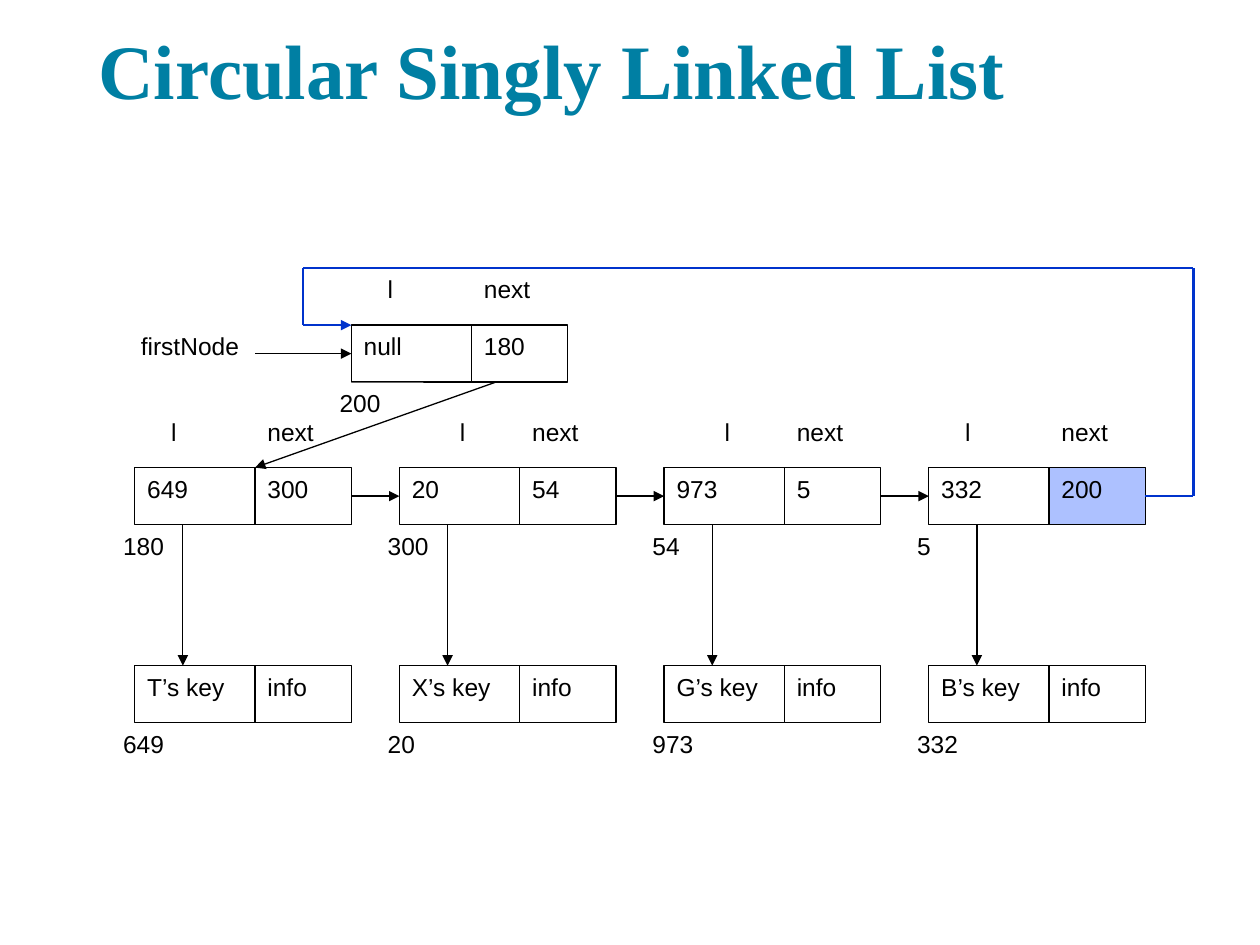
from pptx import Presentation
from pptx.dml.color import RGBColor
from pptx.enum.shapes import MSO_CONNECTOR, MSO_SHAPE
from pptx.enum.text import MSO_ANCHOR, PP_ALIGN
from pptx.oxml.ns import qn
from pptx.util import Pt
from lxml import etree

RECT = MSO_SHAPE.RECTANGLE
STRAIGHT = MSO_CONNECTOR.STRAIGHT
LEFT = PP_ALIGN.LEFT
TOP, BOTTOM = MSO_ANCHOR.TOP, MSO_ANCHOR.BOTTOM

COLORS = {"title": "007FA3", "ink": "000000", "paper": "FFFFFF",
          "last": "3366FF", "loop": "0033CC"}

U = 13.75  # horizontal grid unit
LEFT_EDGE = 77
KEY_W, NEXT_W, CELL_H = 5 * U, 4 * U, 32.6
PITCH = 11 * U
HEAD_Y, NODE_Y, DATA_Y = 185.8, 267.2, 380.4
HEAD_X = LEFT_EDGE + 9 * U

# link value, next value, address, element, offset of the "l" caption
NODES = [("649", "300", "180", "T’s key", U),
         ("20", "54", "300", "X’s key", 2 * U),
         ("973", "5", "54", "G’s key", 2 * U),
         ("332", "200", "5", "B’s key", U)]


def rgb(name):
    return RGBColor.from_string(COLORS[name])


def set_text(shape, text, size=14, font="Arial", color="ink", bold=False, anchor=TOP):
    tf = shape.text_frame
    tf.text = text
    tf.word_wrap = True
    tf.vertical_anchor = anchor
    p = tf.paragraphs[0]
    p.alignment = LEFT
    f = p.runs[0].font
    f.name, f.size, f.bold = font, Pt(size), bold
    f.color.rgb = rgb(color)


def add_title(s, text):
    title = s.shapes.title
    title.left, title.top, title.width, title.height = Pt(49), Pt(4.3), Pt(648), Pt(68.4)
    set_text(title, text, 44, "Times New Roman", "title", True, BOTTOM)
    tf = title.text_frame
    tf.margin_left = tf.margin_right = tf.margin_top = tf.margin_bottom = Pt(7.2)


def add_label(s, text, x, y, w=NEXT_W, h=CELL_H):
    set_text(s.shapes.add_textbox(Pt(x), Pt(y), Pt(w), Pt(h)), text)


def add_cell(s, text, x, y, w, fill=None, alpha=None, outlined=True):
    sp = s.shapes.add_shape(RECT, Pt(x), Pt(y), Pt(w), Pt(CELL_H))
    sp.shadow.inherit = False
    if fill:
        sp.fill.solid()
        sp.fill.fore_color.rgb = rgb(fill)
        if alpha:
            color = sp._element.spPr.find(qn("a:solidFill"))[0]
            etree.SubElement(color, qn("a:alpha"), val=str(alpha * 1000))
    else:
        sp.fill.background()
    if outlined:
        sp.line.color.rgb = rgb("ink")
        sp.line.width = Pt(0.75)
    else:
        sp.line.fill.background()
    set_text(sp, text)


def add_line(s, start, end, color="ink", width=0.75, arrow=True):
    c = s.shapes.add_connector(STRAIGHT, *map(Pt, start + end))
    c.line.color.rgb = rgb(color)
    c.line.width = Pt(width)
    if arrow:
        etree.SubElement(c.line._get_or_add_ln(), qn("a:tailEnd"), type="triangle")
    etree.SubElement(c._element.spPr, qn("a:effectLst"))


def add_captions(s, x, y, link_offset):
    add_label(s, "l", x + link_offset, y - CELL_H, 2 * U)
    add_label(s, "next", x + KEY_W, y - CELL_H)


def add_head(s):
    mid = HEAD_Y + CELL_H / 2
    add_line(s, (LEFT_EDGE + KEY_W, mid), (HEAD_X, mid))
    add_cell(s, "null", HEAD_X, HEAD_Y, KEY_W, "paper", 40)
    add_cell(s, "180", HEAD_X + KEY_W, HEAD_Y, NEXT_W)
    add_cell(s, "200", HEAD_X - U, HEAD_Y + CELL_H, NEXT_W, "paper", 40, outlined=False)
    add_captions(s, HEAD_X, HEAD_Y, U)
    add_label(s, "firstNode", 73.4, HEAD_Y, 82, 15)
    add_line(s, (HEAD_X + 6 * U, HEAD_Y + CELL_H), (LEFT_EDGE + KEY_W, NODE_Y))


def add_node(s, i, link, following, address, element, link_offset):
    """One list node, the element below it and the arrows leaving it."""
    x = LEFT_EDGE + i * PITCH
    bottom, mid = NODE_Y + CELL_H, NODE_Y + CELL_H / 2
    is_last = i == len(NODES) - 1
    add_cell(s, link, x, NODE_Y, KEY_W)
    add_cell(s, following, x + KEY_W, NODE_Y, NEXT_W, *(("last", 40) if is_last else ()))
    add_label(s, address, x - U, bottom)
    add_captions(s, x, NODE_Y, link_offset)
    add_cell(s, element, x, DATA_Y, KEY_W, "paper")
    add_cell(s, "info", x + KEY_W, DATA_Y, NEXT_W, "paper")
    add_label(s, link, x - U, DATA_Y + CELL_H)
    add_line(s, (x + 2 * U, bottom), (x + 2 * U, DATA_Y))
    if not is_last:
        add_line(s, (x + KEY_W + NEXT_W, mid), (x + PITCH, mid))


def add_loop(s):
    """The link from the last node back to the head."""
    right, left = LEFT_EDGE + 44 * U, HEAD_X - 2 * U
    mid, top = NODE_Y + CELL_H / 2, HEAD_Y - CELL_H
    points = [(right - 2 * U, mid), (right, mid), (right, top),
              (left, top), (left, HEAD_Y), (HEAD_X, HEAD_Y)]
    for start, end in zip(points, points[1:]):
        add_line(s, start, end, "loop", 1.5, arrow=end == points[-1])


def main():
    prs = Presentation()
    prs.slide_width, prs.slide_height = Pt(720), Pt(540)
    s = prs.slides.add_slide(prs.slide_layouts[5])
    add_title(s, "Circular Singly Linked List")
    add_head(s)
    for i, node in enumerate(NODES):
        add_node(s, i, *node)
    add_loop(s)
    prs.save("out.pptx")


if __name__ == "__main__":
    main()
